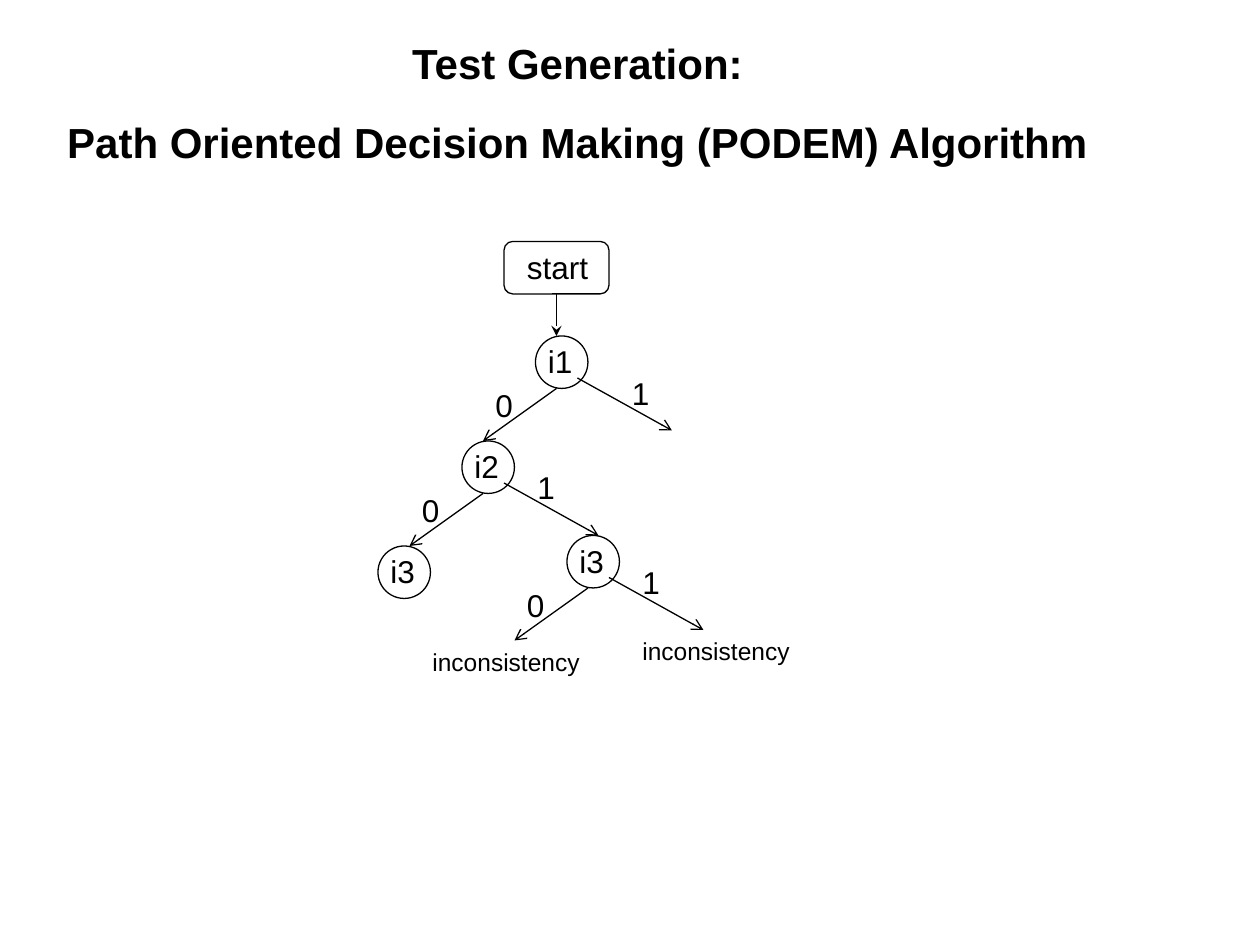
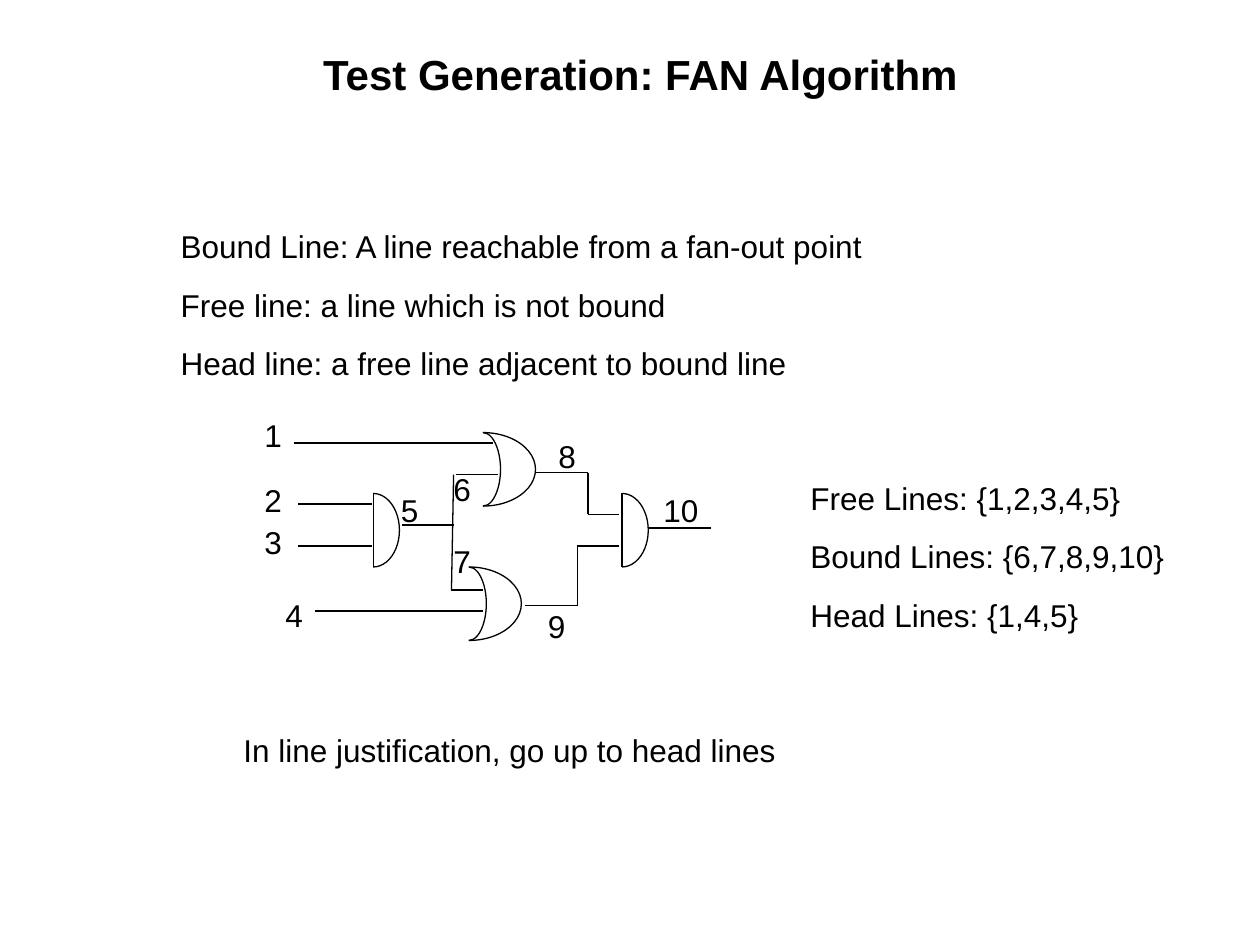
"""Builds two slides on test generation: a PODEM decision tree and a FAN circuit."""
from lxml.etree import SubElement
from pptx import Presentation
from pptx.dml.color import RGBColor
from pptx.enum.shapes import MSO_CONNECTOR as Connector, MSO_SHAPE as Shape
from pptx.enum.text import MSO_ANCHOR as Anchor, MSO_AUTO_SIZE as AutoSize, PP_ALIGN as Align
from pptx.oxml.ns import qn
from pptx.util import Inches, Pt

BLACK = RGBColor(0, 0, 0)
COLUMNS, ROWS = 120, 90
GATE_HEIGHT = 7
TITLE_ONLY, TITLE_AND_BODY = 5, 1
TITLE = {"name": "Arial", "size": Pt(24), "bold": True}
BODY = {"name": "Arial", "size": Pt(18), "bold": False}
SMALL = {"name": "Arial", "size": Pt(14), "bold": False}


class Sketch:
    """Holds the deck, the current page and the shared style; lengths are grid columns and rows."""

    def __init__(self):
        self.deck = Presentation()
        self.deck.slide_width, self.deck.slide_height = Inches(10), Inches(7.5)
        self.page = None

    def across(self, columns):
        return round(self.deck.slide_width * columns / COLUMNS)

    def down(self, rows):
        return round(self.deck.slide_height * rows / ROWS)

    def area(self, left, top, width, height):
        return self.across(left), self.down(top), self.across(width), self.down(height)

    def new_page(self, layout, titles, area):
        self.page = self.deck.slides.add_slide(self.deck.slide_layouts[layout])
        self.fill_box(self.page.shapes.title, titles, area, TITLE, Align.CENTER, Pt(16))

    def fill_box(self, box, lines, area, style, align=Align.LEFT, gap=Pt(12)):
        box.left, box.top, box.width, box.height = self.area(*area)
        frame = box.text_frame
        frame.text = "\n".join(lines)
        settings = {"word_wrap": True, "auto_size": AutoSize.SHAPE_TO_FIT_TEXT,
                    "vertical_anchor": Anchor.TOP}
        for name, value in settings.items():
            setattr(frame, name, value)
        for index, para in enumerate(frame.paragraphs):
            para.alignment = align
            para.space_before = gap if index else Pt(0)
            for span in para.runs:
                for name, value in style.items():
                    setattr(span.font, name, value)
                span.font.color.rgb = BLACK

    def body(self, lines, area):
        box = self.page.placeholders[1]
        self.fill_box(box, lines, area, BODY)
        for para in box.text_frame.paragraphs:
            properties = para._p.get_or_add_pPr()
            properties.set("marL", "0")
            properties.set("indent", "0")
            SubElement(properties, qn("a:buNone"))

    def text(self, lines, left, top, width, height=4.8, style=BODY):
        area = (left, top, width, height)
        self.fill_box(self.page.shapes.add_textbox(*self.area(*area)), lines, area, style)

    def ink(self, item):
        item.line.color.rgb = BLACK
        item.line.width = Pt(0.75)

    def outline(self, kind, area, shapes=None):
        shape = (shapes or self.page.shapes).add_shape(kind, *self.area(*area))
        shape.shadow.inherit = False
        shape.fill.background()
        self.ink(shape)
        return shape

    def line(self, start, end, head=None, shapes=None):
        connector = (shapes or self.page.shapes).add_connector(
            Connector.STRAIGHT, self.across(start[0]), self.down(start[1]),
            self.across(end[0]), self.down(end[1]))
        self.ink(connector)
        if head:
            SubElement(connector.line._get_or_add_ln(), qn("a:tailEnd"), type=head)
        SubElement(connector._element.spPr, qn("a:effectLst"))

    def half_arc(self, shapes, middle, top, radius):
        arc = self.outline(Shape.ARC, (middle - radius, top, 2 * radius, GATE_HEIGHT), shapes)
        arc.adjustments[0], arc.adjustments[1] = 162, 54

    def and_gate(self, left, top):
        shapes = self.page.shapes.add_group_shape().shapes
        self.line((left, top), (left, top + GATE_HEIGHT), shapes=shapes)
        self.half_arc(shapes, left, top, 2.5)

    def or_gate(self, left, top):
        shapes = self.page.shapes.add_group_shape().shapes
        for radius in (5, 1.67):
            self.half_arc(shapes, left, top, radius)

    def node(self, name, left, top):
        self.outline(Shape.OVAL, (left, top, 5, 5))
        self.text([name], left, top, 6)

    def branches(self, left, top, one_at):
        self.line((left + 2, top + 5), (left - 5, top + 10), "arrow")
        self.line((left + 4, top + 4), (left + 13, top + 9), "arrow")
        self.text(["0"], left - 5, top + 4.2, 5)
        self.text(["1"], left + one_at[0], top + one_at[1], 5)


def podem_page(sketch):
    sketch.new_page(TITLE_ONLY, ["Test Generation:",
                                 "Path Oriented Decision Making (PODEM) Algorithm"],
                    (4, 3, 102, 13.3))
    sketch.outline(Shape.ROUNDED_RECTANGLE, (48, 23, 10, 5))
    sketch.text(["start"], 49, 23, 11)
    sketch.line((53, 28), (53, 32), "stealth")
    for name, left, top, one_at in (("i1", 51, 32, (8, 3)), ("i2", 44, 42, (6, 2)),
                                    ("i3", 54, 51, (6, 2))):
        sketch.node(name, left, top)
        sketch.branches(left, top, one_at)
    sketch.node("i3", 36, 52)
    for left, top in ((40, 61), (60, 60)):
        sketch.text(["inconsistency"], left, top, 17, 4, SMALL)


def fan_page(sketch):
    sketch.new_page(TITLE_AND_BODY, ["Test Generation: FAN Algorithm"], (10, 4, 102, 6))
    sketch.body(["Bound Line: A line reachable from a fan-out point",
                 "Free line: a line which is not bound",
                 "Head line: a free line adjacent to bound line"], (16, 21, 97, 15.8))
    for left in (35.55, 59.25):
        sketch.and_gate(left, 47)
    for left, top in ((46, 41.2), (44.65, 54)):
        sketch.or_gate(left, top)
    wires = (
        ((28, 42.2), (47, 42.2)),
        ((28.4, 48), (35.4, 48)),
        ((28.4, 52), (35.4, 52)),
        ((30, 58.2), (46, 58.2)),
        ((38.25, 50), (43.2, 50)),
        ((43.4, 45.2), (47.4, 45.2)),
        ((43.2, 45.2), (43, 56.2), (46, 56.2)),
        ((51, 45), (56, 45), (56, 49), (59, 49)),
        ((50, 57.7), (55, 57.7), (55, 52), (59, 52)),
        ((61.7, 50.3), (67.7, 50.3)),
    )
    for wire in wires:
        for start, end in zip(wire, wire[1:]):
            sketch.line(start, end)
    labels = ((24, 39), (24, 45.2), (24, 49.2), (26, 56.2), (37, 46.2),
              (42, 44.2), (42, 51), (52, 41), (51, 57.2), (62, 46.2))
    for number, (left, top) in enumerate(labels, 1):
        sketch.text([str(number)], left, top, 6 if number > 9 else 4)
    sketch.text(["Free Lines: {1,2,3,4,5}", "Bound Lines: {6,7,8,9,10}",
                 "Head Lines: {1,4,5}"], 76, 45, 39, 15.8)
    sketch.text(["In line justification, go up to head lines"], 22, 69, 83)


def main():
    sketch = Sketch()
    podem_page(sketch)
    fan_page(sketch)
    sketch.deck.save("out.pptx")


if __name__ == "__main__":
    main()
